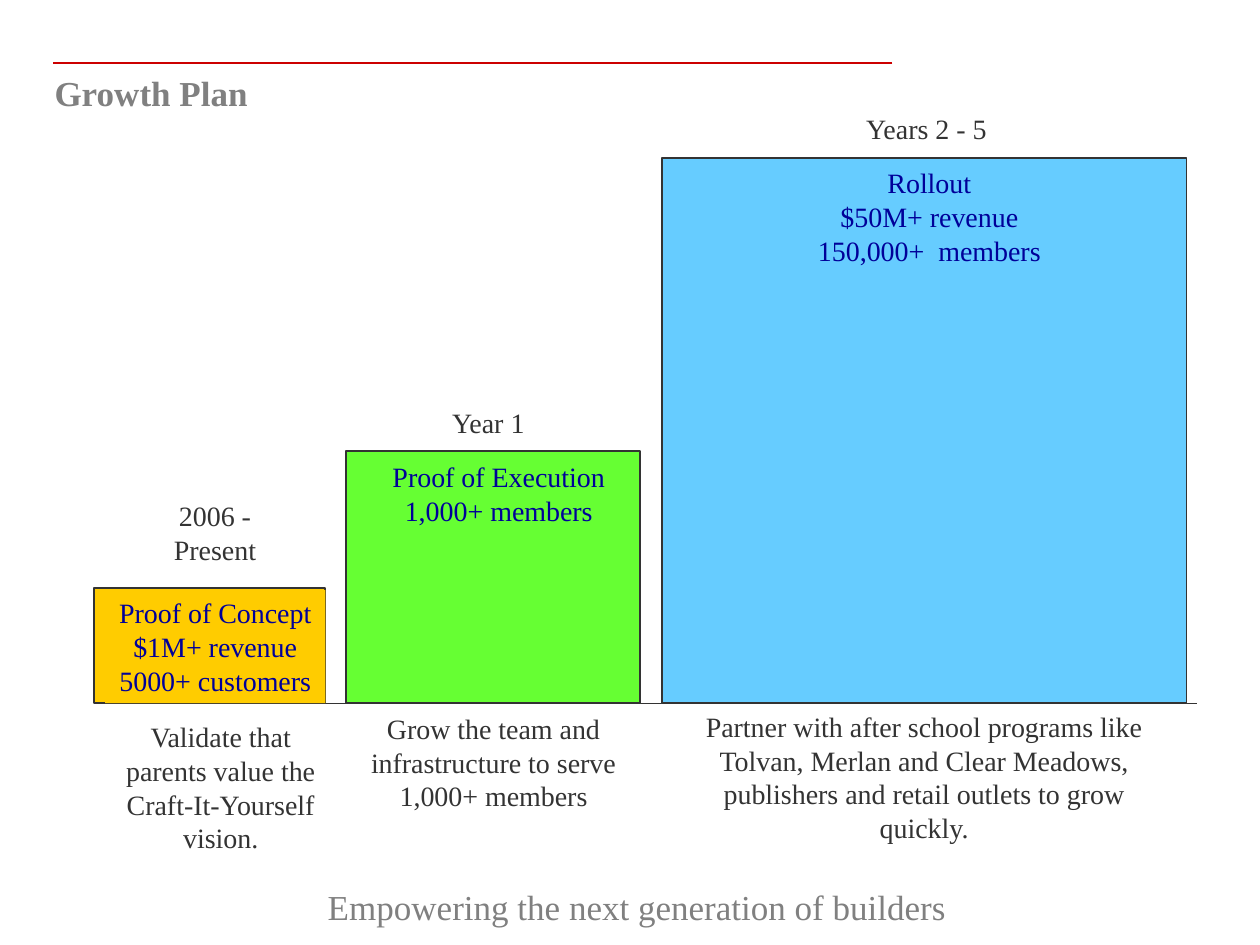
from lxml import etree
from pptx import Presentation
from pptx import util as u
from pptx.dml.color import RGBColor
from pptx.enum import shapes, text
from pptx.oxml.ns import qn

GREY, DARK, NAVY, RED = "808080", "333333", "000099", "CC0000"
BASE = 14.18  # baseline under the bars, cm


def color(value):
    return RGBColor.from_string(value)


class Deck:
    """Holds the style and the current slide; lengths are in cm."""

    font = "Times New Roman"

    def __init__(self, width, height):
        self.prs = Presentation()
        self.prs.slide_width, self.prs.slide_height = u.Cm(width), u.Cm(height)
        self.s = self.prs.slides.add_slide(self.prs.slide_layouts[6])

    def group(self):
        return self.s.shapes.add_group_shape().shapes

    def line(self, x1, x2, y, stroke, width):
        sp = self.s.shapes.add_connector(
            shapes.MSO_CONNECTOR.STRAIGHT, u.Cm(x1), u.Cm(y), u.Cm(x2), u.Cm(y))
        sp.line.color.rgb = color(stroke)
        sp.line.width = u.Pt(width)
        etree.SubElement(sp._element.spPr, qn("a:effectLst"))

    def bar(self, parent, x, y, w, fill):
        sp = parent.add_shape(shapes.MSO_SHAPE.RECTANGLE,
                              u.Cm(x), u.Cm(y), u.Cm(w), u.Cm(BASE - y))
        sp.shadow.inherit = False
        sp.fill.solid()
        sp.fill.fore_color.rgb = color(fill)
        sp.line.color.rgb = color(DARK)
        sp.line.width = u.Pt(1)

    def text(self, parent, x, y, w, paragraphs, ink=DARK, size=16, rows=1,
             fill=None, bold=False, wrap=True, align=text.PP_ALIGN.CENTER):
        height = 0.25 + rows * size * 0.0424
        sp = parent.add_textbox(u.Cm(x), u.Cm(y), u.Cm(w), u.Cm(height))
        if fill:
            sp.fill.solid()
            sp.fill.fore_color.rgb = color(fill)
        tf = sp.text_frame
        tf.word_wrap = wrap
        tf.auto_size = text.MSO_AUTO_SIZE.SHAPE_TO_FIT_TEXT
        for i, words in enumerate(paragraphs):
            p = tf.add_paragraph() if i else tf.paragraphs[0]
            p.alignment = align
            r = p.add_run()
            r.text = words
            r.font.name, r.font.size, r.font.bold = self.font, u.Pt(size), bold
            r.font.color.rgb = color(ink)


# Each stage: bar (x, y, w), fill, label (x, w, lines),
# period (x, y, w, rows, words), note (x, y, w, rows, words)
STAGES = [
    ((1.9, 11.85, 4.66), "FFCC00",
     (2.12, 4.44, ["Proof of Concept", "$1M+ revenue", "5000+ customers"]),
     (3.17, 9.93, 2.33, 2, "2006 - Present"),
     (2.12, 14.39, 4.66, 4,
      "Validate that parents value the Craft-It-Yourself vision.")),
    ((6.98, 9.1, 5.93), "66FF33",
     (7.62, 4.87, ["Proof of Execution", "1,000+ members"]),
     (8.68, 8.05, 2.33, 1, "Year 1"),
     (7.2, 14.22, 5.5, 3,
      "Grow the team and infrastructure to serve 1,000+ members")),
    ((13.34, 3.18, 10.58), "66CCFF",
     (16.09, 5.29, ["Rollout", "$50M+ revenue", "150,000+  members"]),
     (16.59, 2.12, 4.17, 1, "Years 2 - 5"),
     (13.55, 14.18, 10.16, 4,
      "Partner with after school programs like Tolvan, Merlan and Clear "
      "Meadows, publishers and retail outlets to grow quickly.")),
]


def main():
    deck = Deck(25.4, 19.05)
    top = deck.s.shapes

    # Title and rule
    deck.text(top, 0.85, 1.32, 17.15, ["Growth Plan"], GREY, 20,
              bold=True, align=text.PP_ALIGN.LEFT)
    deck.line(17.99, 1.06, 1.27, RED, 1.5)

    # Notes below the baseline, then the closing line
    for *_, (x, y, w, rows, words) in STAGES:
        deck.text(top, x, y, w, [words], rows=rows)
    deck.text(top, 6.35, 17.73, 12.98,
              ["Empowering the next generation of builders"], GREY, 20, wrap=False)
    deck.line(1.9, 24.13, BASE, DARK, 1)

    # One group per stage: bar, label, period
    for (x, y, w), fill, (lx, lw, lines), (px, py, pw, rows, words), _ in STAGES:
        group = deck.group()
        deck.bar(group, x, y, w, fill)
        deck.text(group, lx, y + 0.04, lw, lines, NAVY, rows=len(lines), fill=fill)
        deck.text(group, px, py, pw, [words], rows=rows)

    deck.prs.save("out.pptx")


if __name__ == "__main__":
    main()
